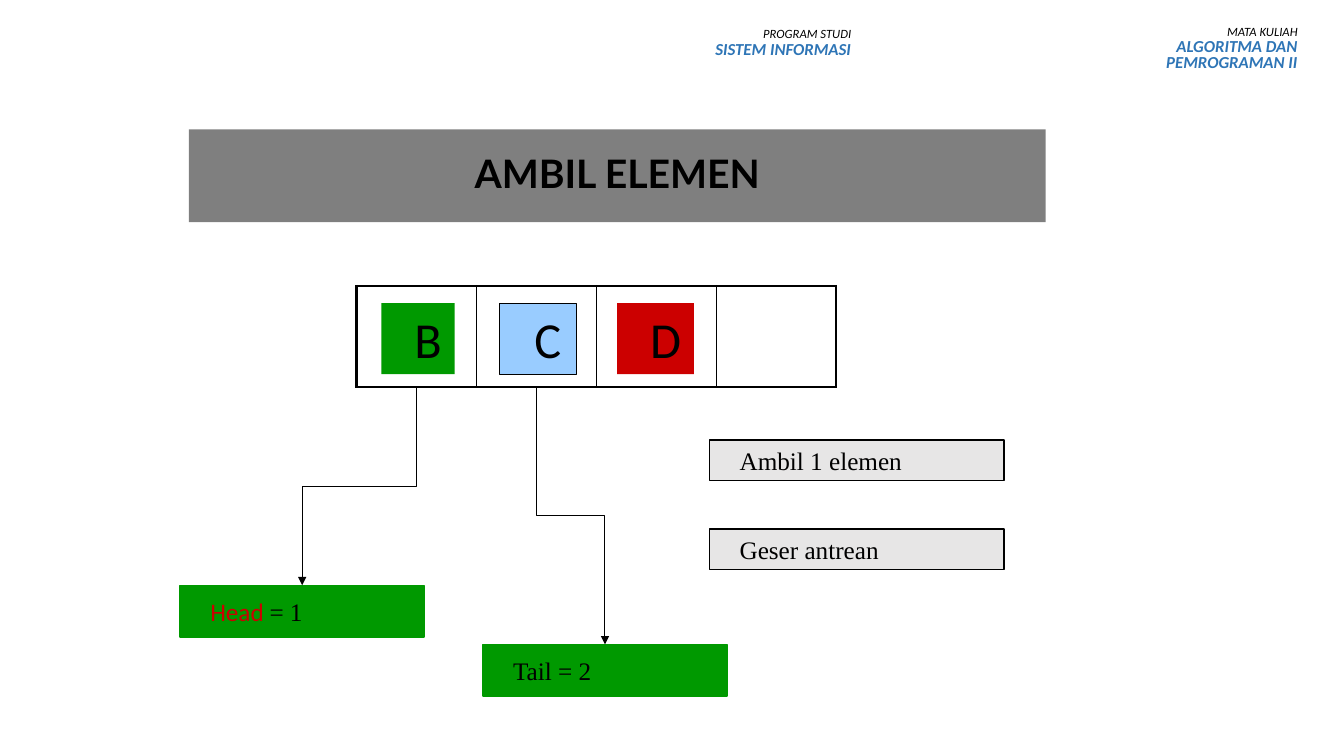
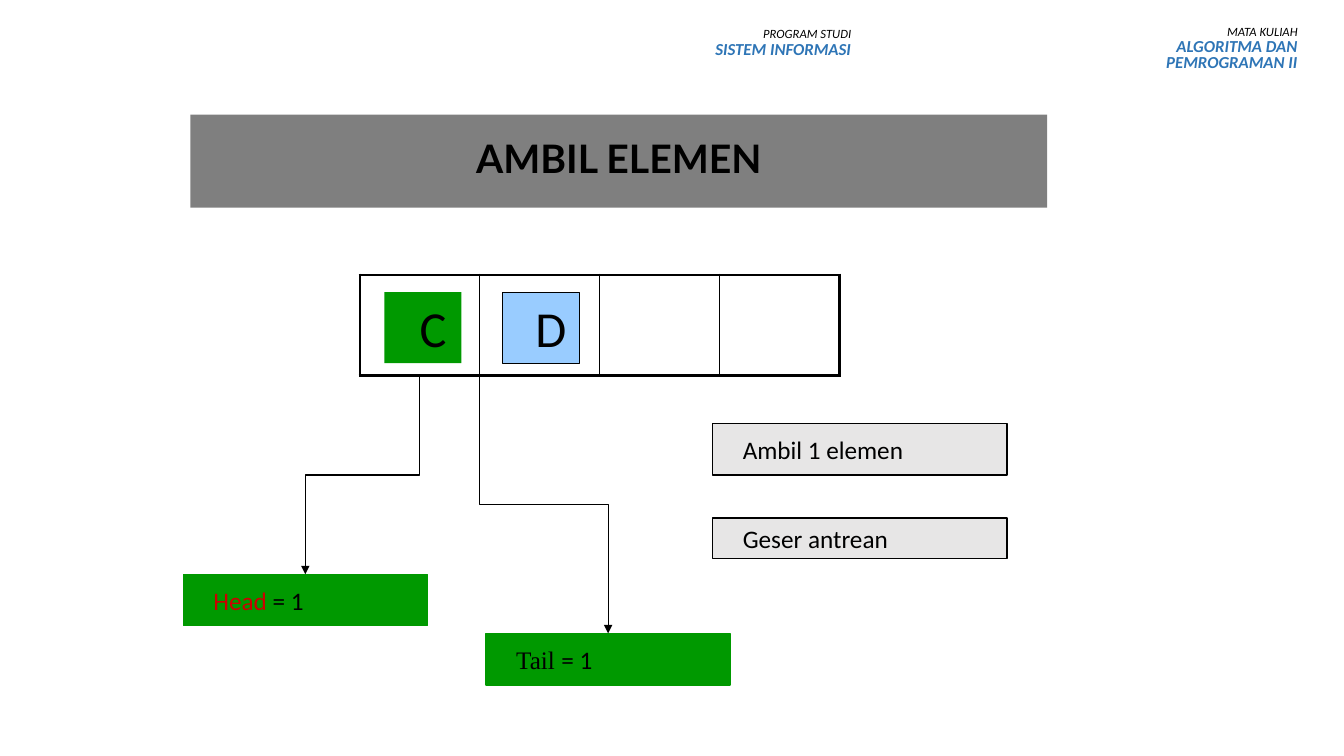
from lxml import etree
from pptx import Presentation
from pptx.dml.color import RGBColor
from pptx.enum.shapes import MSO_CONNECTOR, MSO_SHAPE
from pptx.enum.text import MSO_ANCHOR, MSO_AUTO_SIZE, PP_ALIGN
from pptx.oxml.ns import qn
from pptx.util import Cm, Pt

RECT, ELBOW = MSO_SHAPE.RECTANGLE, MSO_CONNECTOR.ELBOW
LEFT, CENTER, RIGHT = PP_ALIGN.LEFT, PP_ALIGN.CENTER, PP_ALIGN.RIGHT
MIDDLE, FIXED = MSO_ANCHOR.MIDDLE, MSO_AUTO_SIZE.NONE

COLORS = {
    "black": "000000", "blue": "2E75B6", "green": "009900",
    "sky": "99CCFF", "red": "CC0000", "gray": "E7E6E6",
}
SANS, SERIF, HEAD = "Calibri", "Times New Roman", "Lato"
CELL_W, CELL_H, CELLS = 3.02, 2.54, 4
TILE_W, TILE_H, TILE_GAP = 1.94, 1.79, 2.97
LABEL_W, LABEL_H = 6.15, 1.3
NOTE_W = 7.42

# Each box is the left and top of a region, in cm
SLIDES = [
    {
        "title": (4.76, 3.26), "queue": (8.99, 7.21),
        "tiles": [("B", "green", 1.85), ("C", "sky", TILE_W), ("D", "red", TILE_W)],
        "head": [("Head ", SANS, "red"), ("= 1", SERIF, "black")],
        "tail": [("Tail = 2", SERIF, "black")],
        "start": 4.52, "notes": (SERIF, 1.02, 1.02),
    },
    {
        "title": (4.8, 2.89), "queue": (9.07, 6.93),
        "tiles": [("C", "green", TILE_W), ("D", "sky", TILE_W)],
        "head": [("Head ", SANS, "red"), ("= 1", SANS, "black")],
        "tail": [("Tail ", SERIF, "black"), ("= 1", SANS, "black")],
        "start": CELL_W, "notes": (SANS, 1.3, 1.02),
    },
]


def color(name):
    return RGBColor.from_string(COLORS[name])


def style(run, size, font, tint="black", bold=False, italic=False):
    run.font.size, run.font.name = Pt(size), font
    run.font.bold, run.font.italic = bold, italic
    run.font.color.rgb = color(tint)


def block(slide, x, y, w, h, fill, runs, size, align, line=None, width=1):
    """Filled rectangle with one line of text."""
    shape = slide.shapes.add_shape(RECT, Cm(x), Cm(y), Cm(w), Cm(h))
    shape.shadow.inherit = False
    shape.fill.solid()
    shape.fill.fore_color.rgb = color(fill)
    if line:
        shape.line.color.rgb = color(line)
        shape.line.width = Pt(width)
    else:
        shape.line.fill.background()
    frame = shape.text_frame
    frame.word_wrap = align == LEFT
    frame.vertical_anchor = MIDDLE
    frame.margin_left, frame.margin_right = Cm(0.76), Cm(0.25)
    frame.margin_top = frame.margin_bottom = Cm(0.13)
    para = frame.paragraphs[0]
    para.alignment = align
    for text, font, tint in runs:
        run = para.add_run()
        run.text = text
        style(run, size, font, tint)


def header(slide, x, small, large, space):
    box = slide.shapes.add_textbox(Cm(x), Cm(0.56), Cm(6.38), Cm(1.42))
    frame = box.text_frame
    frame.word_wrap = True
    frame.text = small + "\n" + large
    looks = [(9, "black", False), (12, "blue", True)]
    for para, (size, tint, bold) in zip(frame.paragraphs, looks):
        para.alignment, para.line_spacing = RIGHT, space
        style(para.runs[0], size, SANS, tint, bold, True)


def title(slide, x, y):
    shape = slide.shapes.title
    shape.left, shape.top, shape.width, shape.height = Cm(x), Cm(y), Cm(21.59), Cm(2.34)
    shape.fill.solid()
    shape.fill.fore_color.rgb = color("black")
    tint = shape.fill._xPr.find(qn("a:solidFill"))[0]
    etree.SubElement(tint, qn("a:alpha")).set("val", "50000")
    frame = shape.text_frame
    frame.text = "AMBIL ELEMEN"
    frame.auto_size, frame.vertical_anchor = FIXED, MIDDLE
    para = frame.paragraphs[0]
    para.alignment, para.line_spacing = CENTER, 0.9
    style(para.runs[0], 28, HEAD, bold=True)


def border(cell, widths):
    """Cell lines, with widths in points keyed by side."""
    props = cell._tc.get_or_add_tcPr()
    for spot, side in enumerate("LRTB"):
        line = etree.Element(qn("a:ln" + side), w=str(Pt(widths[side])))
        fill = etree.SubElement(line, qn("a:solidFill"))
        etree.SubElement(fill, qn("a:srgbClr"), val=COLORS["black"])
        props.insert(spot, line)


def queue(slide, x, y, tiles):
    table = slide.shapes.add_table(
        1, CELLS, Cm(x), Cm(y), Cm(CELL_W * CELLS), Cm(CELL_H)).table
    table.first_row = table.horz_banding = False
    for i in range(CELLS):
        table.columns[i].width = Cm(CELL_W)
        cell = table.cell(0, i)
        cell.fill.background()
        border(cell, {"L": 1 if i else 2.25, "R": 1 if i < CELLS - 1 else 2.25,
                      "T": 2.25, "B": 2.25})
    for i, (text, fill, w) in enumerate(tiles):
        block(slide, x + 0.62 + i * TILE_GAP, y + 0.43, w, TILE_H, fill,
              [(text, SANS, "black")], 36, CENTER,
              "black" if fill == "sky" else None, 0.75)


def arrow(slide, x1, y1, x2, y2):
    """Elbow arrow that leaves downwards: a level one, turned a quarter."""
    w, h = y2 - y1, abs(x2 - x1)
    left, right = (x1 + x2 - w) / 2, (x1 + x2 + w) / 2
    top = (y1 + y2 - h) / 2
    turn = 90
    if x2 > x1:
        left, right, turn = right, left, 270
    line = slide.shapes.add_connector(
        ELBOW, Cm(left), Cm(top), Cm(right), Cm(top + h))
    line.line.color.rgb = color("black")
    line.line.width = Pt(0.75)
    props = line._element.spPr
    props.find(qn("a:xfrm")).set("rot", str(turn * 60000))
    etree.SubElement(props.find(qn("a:ln")), qn("a:tailEnd"), type="triangle")
    etree.SubElement(props, qn("a:effectLst"))


def label(slide, x, y, runs, start, base):
    """Pointer label, with an arrow from the queue at start, base."""
    block(slide, x, y, LABEL_W, LABEL_H, "green", runs, 18, LEFT, "green")
    arrow(slide, start, base, x + LABEL_W / 2, y)


def notes(slide, x, y, font, *sizes):
    texts = ["Ambil 1 elemen", "Geser antrean"]
    for i, (text, h) in enumerate(zip(texts, sizes)):
        block(slide, x, y + i * 2.24 - h / 2, NOTE_W, h, "gray",
              [(text, font, "black")], 18, LEFT, "black")


def build(deck, data):
    slide = deck.slides.add_slide(deck.slide_layouts[5])
    header(slide, 26.57, "MATA KULIAH", "ALGORITMA DAN PEMROGRAMAN II", 0.8)
    header(slide, 15.32, "PROGRAM STUDI", "SISTEM INFORMASI", 0.9)
    title(slide, *data["title"])
    x, y = data["queue"]
    base = y + CELL_H
    queue(slide, x, y, data["tiles"])
    label(slide, x - 4.45, y + 7.54, data["head"], x + CELL_W / 2, base)
    label(slide, x + 3.18, y + 9.03, data["tail"], x + data["start"], base)
    notes(slide, x + 8.89, y + 4.39, *data["notes"])


def main():
    deck = Presentation()
    deck.slide_width, deck.slide_height = Cm(33.87), Cm(19.05)
    for data in SLIDES:
        build(deck, data)
    deck.save("out.pptx")


if __name__ == "__main__":
    main()
